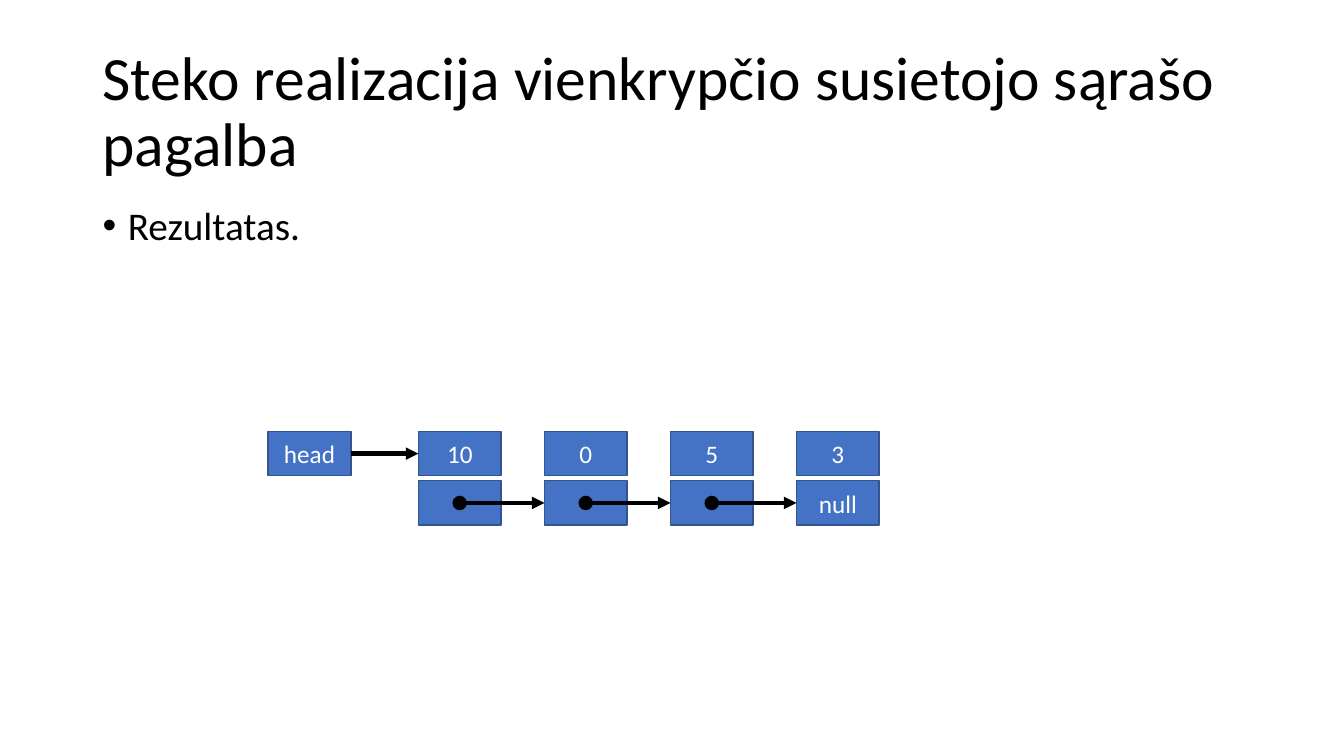
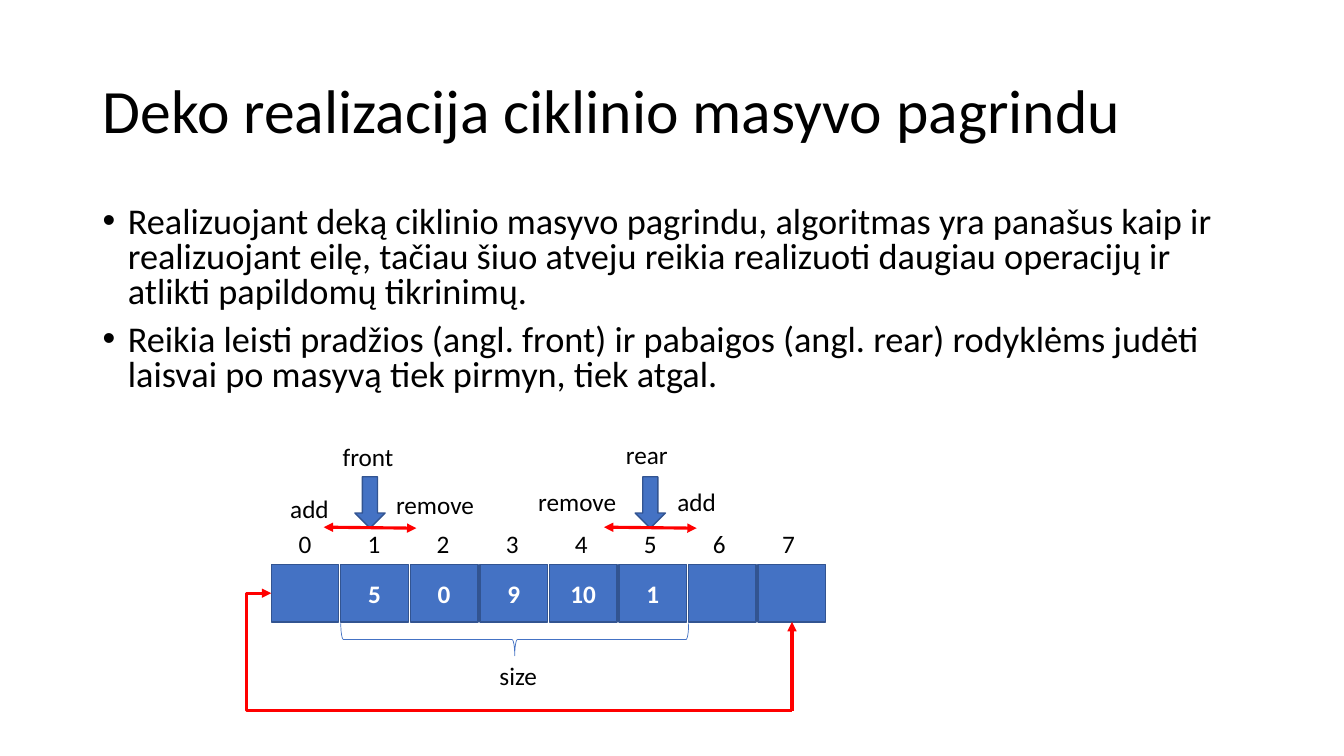
from dataclasses import dataclass

from lxml import etree
from pptx import Presentation
from pptx.dml.color import RGBColor
from pptx.enum.shapes import MSO_CONNECTOR, MSO_SHAPE
from pptx.enum.text import MSO_ANCHOR, PP_ALIGN
from pptx.oxml.ns import qn
from pptx.util import Inches, Pt

RECT, OVAL = MSO_SHAPE.RECTANGLE, MSO_SHAPE.OVAL
DOWN, BRACE = MSO_SHAPE.DOWN_ARROW, MSO_SHAPE.RIGHT_BRACE
LINE, ELBOW = MSO_CONNECTOR.STRAIGHT, MSO_CONNECTOR.ELBOW
TOP, MID = MSO_ANCHOR.TOP, MSO_ANCHOR.MIDDLE
LEFT, CENTER = PP_ALIGN.LEFT, PP_ALIGN.CENTER


@dataclass(frozen=True)
class Theme:
    font: str = "Calibri"
    ink: RGBColor = RGBColor(0, 0, 0)
    paper: RGBColor = RGBColor(255, 255, 255)
    blue: RGBColor = RGBColor(0x44, 0x72, 0xC4)
    edge: RGBColor = RGBColor(0x32, 0x54, 0x91)
    red: RGBColor = RGBColor(255, 0, 0)
    title: float = 44
    label: float = 18


THEME = Theme()


def apply(target, values):
    for name, value in values.items():
        setattr(target, name, value)


def write(shape, lines, size, color, bold=False, anchor=TOP, para=None):
    """Fill a shape with paragraphs of one format."""
    apply(shape.text_frame, {"word_wrap": True, "vertical_anchor": anchor})
    for i, line in enumerate(lines):
        frame = shape.text_frame
        p = frame.add_paragraph() if i else frame.paragraphs[0]
        apply(p, para or {})
        run = p.add_run()
        run.text = line
        apply(run.font, {"name": THEME.font, "size": Pt(size), "bold": bold})
        run.font.color.rgb = color


def add_text(slide, box, lines, size, **form):
    shape = slide.shapes.add_textbox(*map(Inches, box))
    write(shape, lines, size, THEME.ink, **form)
    return shape


def add_label(slide, x, y, width, text, align=LEFT):
    add_text(slide, (x, y, width, 0.4), [text], THEME.label,
             para={"alignment": align})


def add_shape(slide, kind, box, fill=THEME.blue, line=THEME.edge, width=1):
    shape = slide.shapes.add_shape(kind, *map(Inches, box))
    shape.shadow.inherit = False
    if fill is None:
        shape.fill.background()
    else:
        shape.fill.solid()
        shape.fill.fore_color.rgb = fill
    shape.line.color.rgb = line
    shape.line.width = Pt(width)
    return shape


def add_cell(slide, box, text="", bold=False):
    cell = add_shape(slide, RECT, box)
    if text:
        write(cell, [text], THEME.label, THEME.paper, bold, MID,
              {"alignment": CENTER})


def add_line(slide, start, end, color, width, tips, kind=LINE, bend=None):
    """Draw a connector; tips names the ends that carry an arrowhead."""
    line = slide.shapes.add_connector(kind, *map(Inches, (*start, *end)))
    line.line.color.rgb = color
    line.line.width = Pt(width)
    props = line._element.spPr
    for tip in tips:
        etree.SubElement(props.find(qn("a:ln")), qn(tip), type="triangle")
    etree.SubElement(props, qn("a:effectLst"))
    if bend is not None:
        guides = props.find(qn("a:prstGeom")).get_or_add_avLst()
        etree.SubElement(guides, qn("a:gd"), name="adj1", fmla=f"val {bend}")


def add_page(deck, title, points, height, size, spacing):
    """Start a slide with its title and bullet list."""
    slide = deck.slides.add_slide(deck.slide_layouts[6])
    add_text(slide, (0.92, 0.4, 11.5, 1.45), [title], THEME.title,
             anchor=MID, para={"line_spacing": 0.9})
    body = add_text(slide, (0.92, 2, 11.5, height), points, size,
                    para={"line_spacing": spacing, "space_before": Pt(10)})
    for p in body.text_frame.paragraphs:
        props = p._p.get_or_add_pPr()
        apply_in = {"marL": Inches(0.25), "indent": Inches(-0.25)}
        for name, value in apply_in.items():
            props.set(name, str(value))
        etree.SubElement(props, qn("a:buFont"), typeface="Arial")
        etree.SubElement(props, qn("a:buChar"), char="•")
    return slide


def draw_list(slide, x, y, values):
    """Linked list: head cell, then value cells above their links."""
    wide, high, step, drop, dot = 0.82, 0.44, 1.25, 0.49, 0.13
    first = x + 1.49
    link = y + drop + high / 2
    add_cell(slide, (x, y, wide, high), "head")
    for i, value in enumerate(values):
        left = first + i * step
        last = i == len(values) - 1
        add_cell(slide, (left, y, wide, high), value)
        add_cell(slide, (left, y + drop, wide, high), "null" if last else "")
    # Arrows
    add_line(slide, (x + wide, y + high / 2), (first, y + high / 2),
             THEME.ink, 3, ["a:tailEnd"])
    for i in range(len(values) - 1):
        mid = first + i * step + wide / 2
        add_shape(slide, OVAL, (mid - dot / 2, link - dot / 2, dot, dot),
                  THEME.ink, THEME.ink)
        add_line(slide, (mid + dot / 2, link), (first + (i + 1) * step, link),
                 THEME.ink, 3, ["a:tailEnd"])


def draw_mark(slide, x, y, labels):
    """Block arrow centred on x, its two-way move and its labels."""
    add_shape(slide, DOWN, (x - 0.15, y, 0.3, 0.51))
    for text, dx, dy, width in labels:
        add_label(slide, x + dx, y + dy, width, text)
    add_line(slide, (x - 0.46, y + 0.5), (x + 0.46, y + 0.51), THEME.red,
             2.25, ["a:headEnd", "a:tailEnd"])


def draw_ring(slide, x, y, values, start, count):
    """Circular array: cells, indexes, used span and wrap-around path."""
    wide, high, step = 0.67, 0.57, 0.69
    for i, value in enumerate(values):
        add_cell(slide, (x + i * step, y, wide, high), value, bold=True)
        add_label(slide, x + i * 0.685, y - 0.41, wide, str(i), CENTER)
    # Brace, turned to lie under the used cells
    span, deep = count * step, 0.32
    mid = x + start * step + span / 2
    brace = add_shape(
        slide, BRACE,
        (mid - deep / 2, y + high + (deep + 0.03 - span) / 2, deep, span),
        None, THEME.blue, 0.5)
    brace.rotation = 90
    add_label(slide, mid - 0.25, y + 0.9, 0.72, "size")
    # Path from the last cell back to the first
    end = x + (len(values) - 1) * step + wide / 2
    base = y + 1.45
    add_line(slide, (x, y + high / 2), (end, base), THEME.red, 2.25,
             ["a:headEnd"], ELBOW, -4800)
    add_line(slide, (end, y + high), (end, base), THEME.red, 2.25,
             ["a:headEnd"])


def stack_page(deck):
    slide = add_page(
        deck, "Steko realizacija vienkrypčio susietojo sąrašo pagalba",
        ["Rezultatas."], 0.67, 28, 0.9)
    draw_list(slide, 2.66, 4.28, ["10", "0", "5", "3"])


def deque_page(deck):
    slide = add_page(
        deck, "Deko realizacija ciklinio masyvo pagrindu",
        ["Realizuojant deką ciklinio masyvo pagrindu, algoritmas yra panašus "
         "kaip ir realizuojant eilę, tačiau šiuo atveju reikia realizuoti "
         "daugiau operacijų ir atlikti papildomų tikrinimų.",
         "Reikia leisti pradžios (angl. front) ir pabaigos (angl. rear) "
         "rodyklėms judėti laisvai po masyvą tiek pirmyn, tiek atgal."],
        2.08, 25.9, 0.8)
    draw_ring(slide, 2.69, 5.6, ["", "5", "0", "9", "10", "1", "", ""], 1, 5)
    draw_mark(slide, 3.67, 4.73, [("front", -0.37, -0.4, 0.72),
                                  ("add", -0.89, 0.11, 0.72),
                                  ("remove", 0.16, 0.08, 1.04)])
    draw_mark(slide, 6.45, 4.73, [("rear", -0.34, -0.42, 0.72),
                                  ("remove", -1.21, 0.05, 1.04),
                                  ("add", 0.17, 0.05, 0.72)])


def main():
    deck = Presentation()
    apply(deck, {"slide_width": Inches(13.33), "slide_height": Inches(7.5)})
    stack_page(deck)
    deque_page(deck)
    deck.save("out.pptx")


if __name__ == "__main__":
    main()
